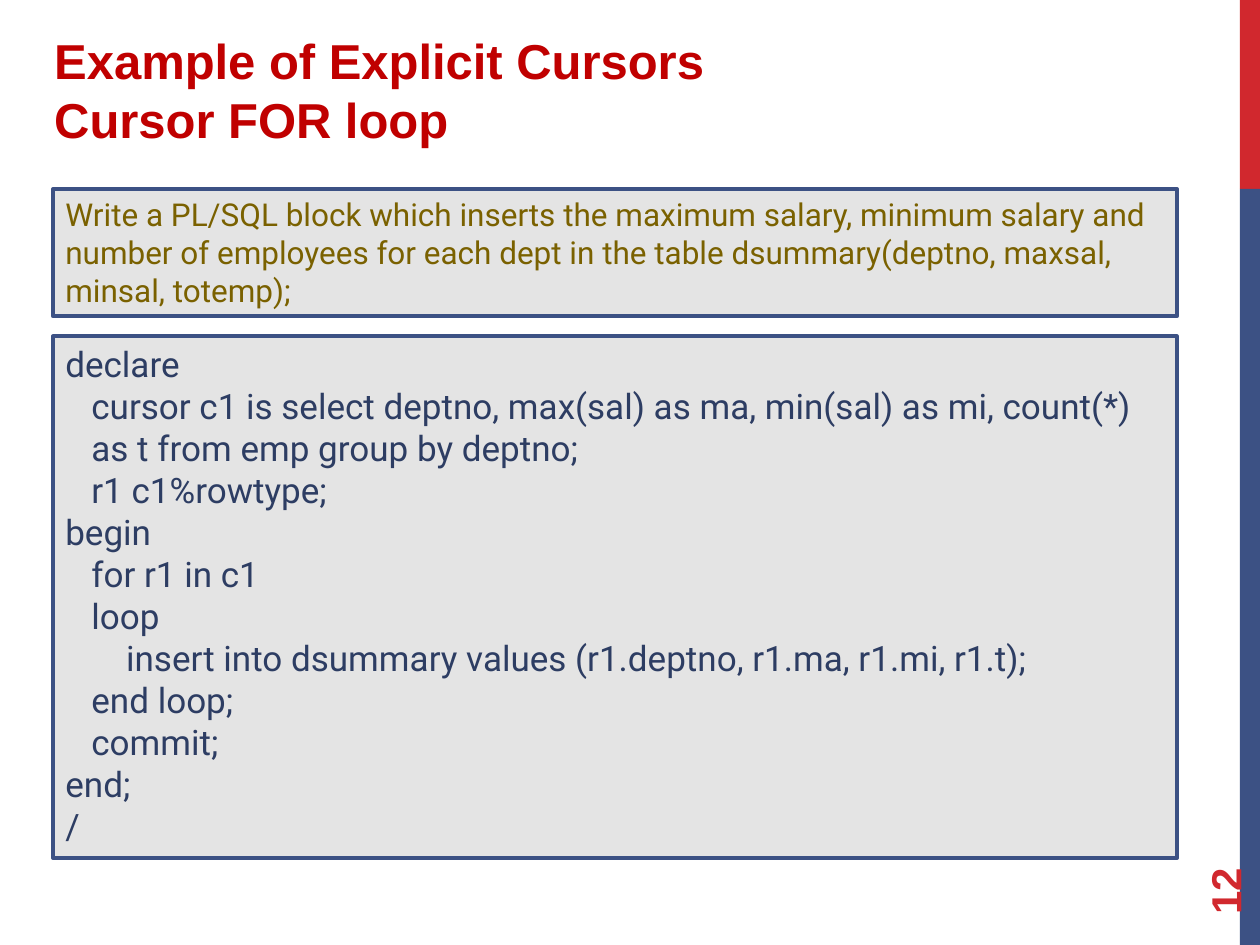
import pptx
import pptx.util
import pptx.dml.color
import pptx.enum.shapes
import pptx.enum.text

Inches = pptx.util.Inches
Pt = pptx.util.Pt
RGB = pptx.dml.color.RGBColor.from_string
Align = pptx.enum.text.PP_ALIGN
Anchor = pptx.enum.text.MSO_ANCHOR

COLORS = {
    "red": "D1282E",
    "blue": "3C5184",
    "gray": "E4E4E4",
    "title": "C00000",
    "task": "7A6100",
    "code": "2D3D63",
}


def write(shape, text, size, color, font="Roboto", bold=False, anchor=Anchor.TOP, hang=0):
    """Fill a shape with left-aligned paragraphs, one per line of text."""
    frame = shape.text_frame
    frame.word_wrap = True
    frame.auto_size = pptx.enum.text.MSO_AUTO_SIZE.NONE
    frame.vertical_anchor = anchor
    frame.text = text
    for para in frame.paragraphs:
        para.alignment = Align.LEFT
        if hang:
            props = para._p.get_or_add_pPr()
            props.set("marL", str(Inches(hang)))
            props.set("indent", str(-Inches(hang)))
        para.font.size = Pt(size)
        para.font.name = font
        para.font.bold = bold
        para.font.color.rgb = RGB(COLORS[color])


def block(left, top, width, height, fill, line=None):
    shape = slide.shapes.add_shape(
        pptx.enum.shapes.MSO_SHAPE.RECTANGLE,
        Inches(left), Inches(top), Inches(width), Inches(height))
    shape.shadow.inherit = False
    shape.fill.solid()
    shape.fill.fore_color.rgb = RGB(COLORS[fill])
    if line:
        shape.line.color.rgb = RGB(COLORS[line])
        shape.line.width = Pt(2.25)
    else:
        shape.line.fill.background()
    return shape


deck = pptx.Presentation()
deck.slide_width = Inches(10)
deck.slide_height = Inches(7.5)
slide = deck.slides.add_slide(deck.slide_layouts[5])

# Side band
block(9.84, 0, 0.16, 1.5, "red")
block(9.84, 1.5, 0.16, 6, "blue")

# Slide number
number = slide.shapes.add_textbox(Inches(9), Inches(6.44), Inches(1.44), Inches(0.4))
number.rotation = 270
write(number, "12", 24, "red", font="Arial", bold=True, anchor=Anchor.MIDDLE)

# Title
title = slide.shapes.title
title.left, title.top = Inches(0.33), Inches(0.19)
title.width, title.height = Inches(6.83), Inches(1.23)
write(title, "Example of Explicit Cursors\nCursor FOR loop", 28, "title",
      font="Arial", bold=True, hang=0.38)

# Task and its solution
TASK = ("Write a PL/SQL block which inserts the maximum salary, minimum salary and "
        "number of employees for each dept in the table "
        "dsummary(deptno, maxsal, minsal, totemp);")
CODE = """declare
   cursor c1 is select deptno, max(sal) as ma, min(sal) as mi, count(*)
   as t from emp group by deptno;
   r1 c1%rowtype;
begin
   for r1 in c1
   loop
       insert into dsummary values (r1.deptno, r1.ma, r1.mi, r1.t);
   end loop;
   commit;
end;
/"""
for top, height, text, size, color in [
    (1.5, 1.01, TASK, 18, "task"),
    (2.67, 4.14, CODE, 20, "code"),
]:
    write(block(0.42, top, 8.92, height, "gray", line="blue"), text, size, color)

deck.save("out.pptx")
